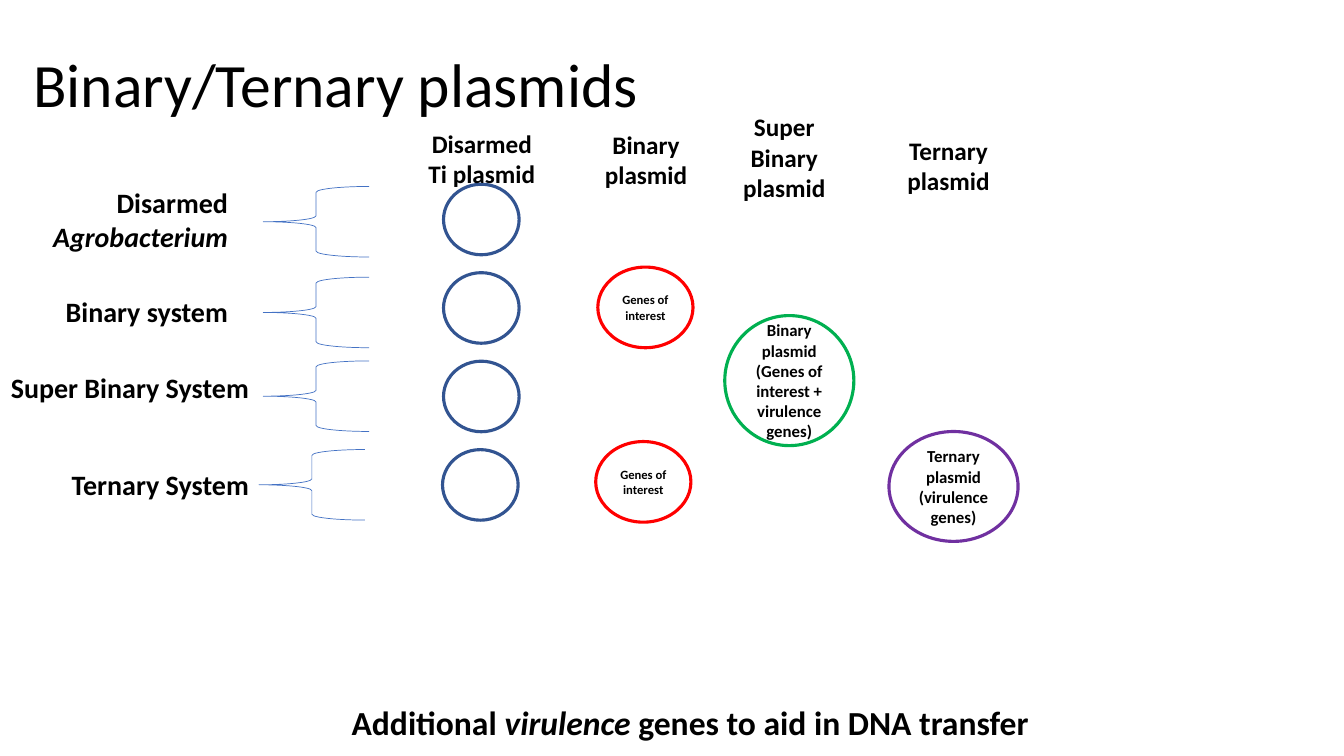
"""Build a slide comparing binary and ternary plasmid systems."""
from pptx import Presentation
from pptx.dml.color import RGBColor
from pptx.enum.shapes import MSO_SHAPE
from pptx.enum.text import MSO_ANCHOR, PP_ALIGN
from pptx.util import Pt

FONT = "Calibri"
BLACK, BRACE_BLUE, TI_BLUE = "000000", "4472C4", "325491"
RED, GREEN, PURPLE = "FF0000", "00B050", "7030A0"

TITLE = [[("Binary/Ternary plasmids", False)]]
FOOTER = [[("Additional ", False), ("virulence", True),
           (" genes to aid in DNA transfer", False)]]

# Label runs, label right edge, label top, label height, brace left, brace top, Ti circle left
SYSTEMS = [
    ([("Disarmed ", False), ("Agrobacterium", True)], 170, 129, 55.5, 188, 133.2, 316.8),
    ([("Binary system", False)], 170, 206.6, 31.5, 188, 198, 316.8),
    ([("Super Binary System", False)], 185, 261.4, 31.5, 188, 257.8, 316.8),
    ([("Ternary System", False)], 185, 330.5, 31.5, 185, 321.1, 316.1),
]
HEADINGS = [
    (["Disarmed Ti plasmid"], 294.5, 87.8, 51),
    (["Binary plasmid"], 411.8, 88.6, 72.7),
    (["Super", "Binary plasmid"], 510.5, 76.3, 94.5),
    (["Ternary plasmid"], 627.8, 92.9, 72.7),
]
PLASMIDS = [
    (["Genes of interest"], 9, RED, (427, 190.8, 68, 57.6)),
    (["Genes of interest"], 9, RED, (425.5, 315.4, 68, 57.6)),
    (["Binary plasmid", "(Genes of interest + virulence genes)"], 12, GREEN,
     (517.7, 225.4, 92.2, 92.9)),
    (["Ternary plasmid", "(virulence genes)"], 12, PURPLE, (635, 308.2, 92.2, 78.5)),
]
LABEL_WIDTH, HEADING_WIDTH = 185, 99.4
BRACE_SIZE, TI_SIZE = (75.6, 50.4), (54, 50.4)
TI_TOP, TI_PITCH = 131.6, 63.2


def color(value):
    return RGBColor.from_string(value)


def plain(lines):
    return [[(line, False)] for line in lines]


def write(shape, paragraphs, size, align, bold=True, anchor=MSO_ANCHOR.TOP, spacing=None):
    frame = shape.text_frame
    frame.word_wrap = True
    frame.vertical_anchor = anchor
    for index, runs in enumerate(paragraphs):
        paragraph = frame.add_paragraph() if index else frame.paragraphs[0]
        paragraph.alignment = align
        if spacing:
            paragraph.line_spacing = spacing
        for text, italic in runs:
            run = paragraph.add_run()
            run.text = text
            run.font.name = FONT
            run.font.size = Pt(size)
            run.font.bold = bold
            run.font.italic = italic
            run.font.color.rgb = color(BLACK)


def add_text(slide, box, *text, **style):
    write(slide.shapes.add_textbox(*map(Pt, box)), *text, **style)


def add_outline(slide, kind, box, line, width):
    shape = slide.shapes.add_shape(kind, *map(Pt, box))
    shape.shadow.inherit = False
    shape.fill.background()
    shape.line.color.rgb = color(line)
    shape.line.width = Pt(width)
    return shape


def main():
    presentation = Presentation()
    presentation.slide_width, presentation.slide_height = Pt(960), Pt(540)
    slide = presentation.slides.add_slide(presentation.slide_layouts[6])

    add_text(slide, (16.6, 6.5, 494.6, 111.6), TITLE, 44, PP_ALIGN.LEFT,
             bold=False, anchor=MSO_ANCHOR.MIDDLE, spacing=0.9)
    add_text(slide, (244.1, 497.5, 576.7, 36), FOOTER, 24, PP_ALIGN.LEFT)

    for row, system in enumerate(SYSTEMS):
        label, right, top, height, brace_left, brace_top, ti_left = system
        add_text(slide, (right - LABEL_WIDTH, top, LABEL_WIDTH, height),
                 [label], 20, PP_ALIGN.RIGHT)
        add_outline(slide, MSO_SHAPE.LEFT_BRACE, (brace_left, brace_top, *BRACE_SIZE),
                    BRACE_BLUE, 0.5)
        add_outline(slide, MSO_SHAPE.OVAL, (ti_left, TI_TOP + row * TI_PITCH, *TI_SIZE),
                    TI_BLUE, 2.25)

    for lines, left, top, height in HEADINGS:
        add_text(slide, (left, top, HEADING_WIDTH, height), plain(lines), 18, PP_ALIGN.CENTER)

    for lines, size, line, box in PLASMIDS:
        plasmid = add_outline(slide, MSO_SHAPE.OVAL, box, line, 2.25)
        write(plasmid, plain(lines), size, PP_ALIGN.CENTER, anchor=MSO_ANCHOR.MIDDLE)

    presentation.save("out.pptx")


if __name__ == "__main__":
    main()
